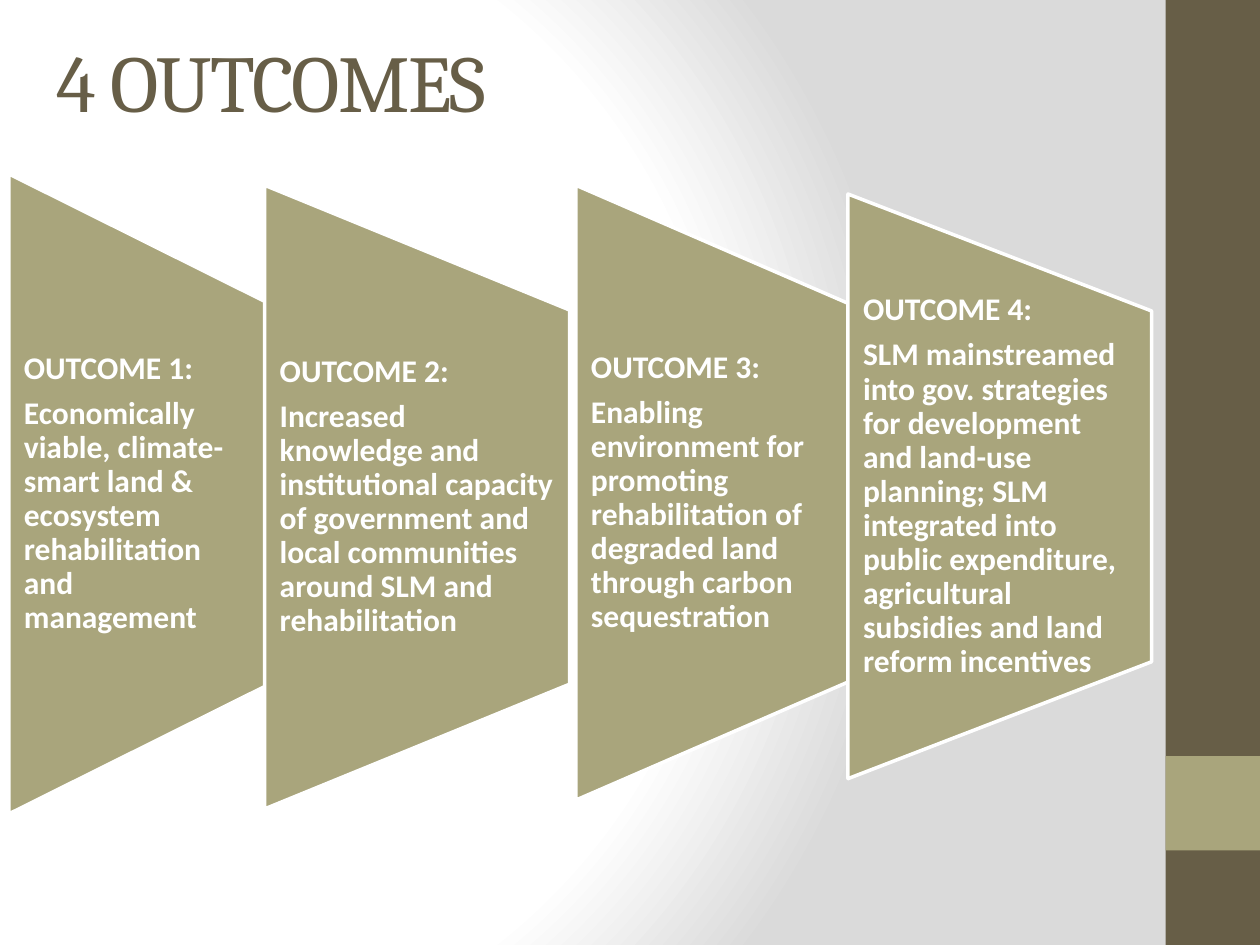
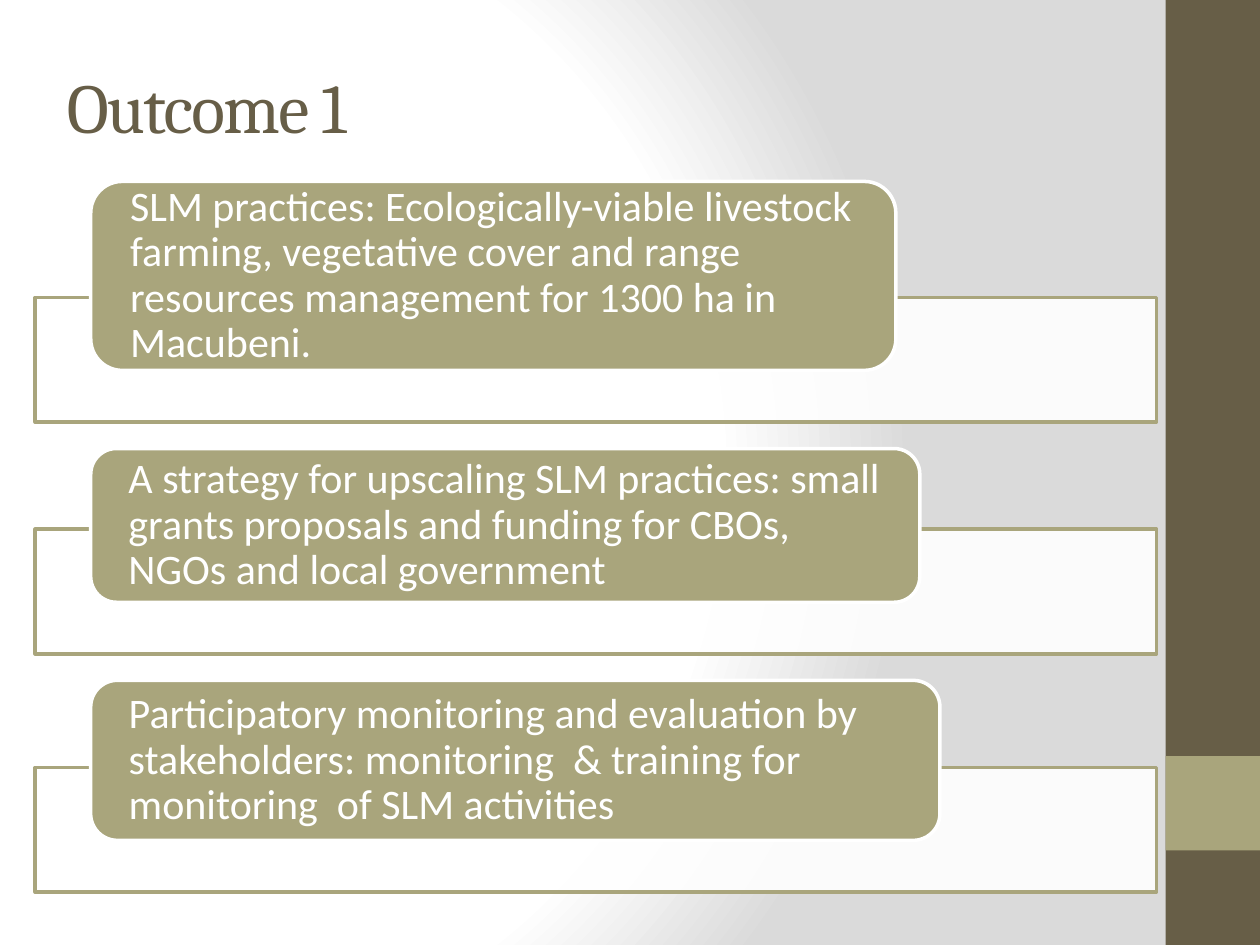
from dataclasses import dataclass
from typing import Optional

from pptx import Presentation
from pptx.dml.color import RGBColor
from pptx.enum.shapes import MSO_SHAPE as Preset
from pptx.enum.text import MSO_ANCHOR as Anchor, MSO_AUTO_SIZE as AutoSize, PP_ALIGN as Align
from pptx.oxml import parse_xml
from pptx.oxml.ns import nsdecls, qn
from pptx.util import Inches, Pt


@dataclass(frozen=True)
class Theme:
    brown: str = "675E47"
    olive: str = "A9A57C"
    white: str = "FFFFFF"
    grey: str = "DADADA"
    heading_font: str = "Cambria"
    body_font: str = "Calibri"
    main_title_size: int = 46
    title_size: int = 40
    column_size: int = 18
    label_size: int = 24
    outline: int = 2


@dataclass(frozen=True)
class Area:
    left: float
    top: float
    width: float
    height: float

    def lengths(self) -> tuple:
        return tuple(Inches(n) for n in (self.left, self.top, self.width, self.height))


@dataclass(frozen=True)
class Outcome:
    area: Area
    text: str


@dataclass(frozen=True)
class Practice:
    width: float
    height: float
    text: str


THEME = Theme()

OUTCOMES = [
    Outcome(Area(0.07, 1.38, 2.04, 5.08),
            "Economically viable, climate-smart land & ecosystem rehabilitation and management"),
    Outcome(Area(2.1, 1.47, 2.42, 4.95),
            "Increased knowledge and institutional capacity of government and local "
            "communities around SLM and rehabilitation"),
    Outcome(Area(4.57, 1.47, 2.25, 4.88),
            "Enabling environment for promoting rehabilitation of degraded land "
            "through carbon sequestration"),
    Outcome(Area(6.73, 1.54, 2.41, 4.64),
            "SLM mainstreamed into gov. strategies for development and land-use planning; "
            "SLM integrated into public expenditure, agricultural subsidies and land "
            "reform incentives"),
]

PRACTICES = [
    Practice(6.39, 1.5,
             "SLM practices: Ecologically-viable livestock farming, vegetative cover and "
             "range resources management for 1300 ha in Macubeni."),
    Practice(6.58, 1.22,
             "A strategy for upscaling SLM practices: small grants proposals and funding "
             "for CBOs, NGOs and local government"),
    Practice(6.74, 1.27,
             "Participatory monitoring and evaluation by stakeholders: monitoring  & "
             "training for monitoring  of SLM activities"),
]


# Shared drawing functions
def add_block(page, preset, area: Area, fill: str, line: Optional[str] = None):
    shape = page.shapes.add_shape(preset, *area.lengths())
    shape.shadow.inherit = False
    shape.fill.solid()
    shape.fill.fore_color.rgb = RGBColor.from_string(fill)
    if line:
        shape.line.color.rgb = RGBColor.from_string(line)
        shape.line.width = Pt(THEME.outline)
    else:
        shape.line.fill.background()
    return shape


def format_span(span, font: str, size: int, colour: str, bold: bool = False) -> None:
    span.font.name = font
    span.font.size = Pt(size)
    span.font.bold = bold
    span.font.color.rgb = RGBColor.from_string(colour)


def write_body(box, text: str, size: int, inset: float, bold: bool = False) -> None:
    frame = box.text_frame
    frame.text = text
    frame.word_wrap = True
    frame.vertical_anchor = Anchor.MIDDLE
    frame.margin_left = frame.margin_right = Inches(inset)
    frame.margin_top = frame.margin_bottom = 0
    for para in frame.paragraphs:
        para.alignment = Align.LEFT
        para.line_spacing = 0.9
        para.space_after = Pt(0.35 * size)
        for span in para.runs:
            format_span(span, THEME.body_font, size, THEME.white, bold)


def add_page(deck, title: str, area: Area, size: int):
    page = deck.slides.add_slide(deck.slide_layouts.get_by_name("Title Only"))
    box = page.shapes.title
    box.left, box.top, box.width, box.height = area.lengths()
    frame = box.text_frame
    frame.text = title
    frame.auto_size = AutoSize.NONE
    frame.vertical_anchor = Anchor.MIDDLE
    para = frame.paragraphs[0]
    para.alignment = Align.LEFT
    span = para.runs[0]
    format_span(span, THEME.heading_font, size, THEME.brown)
    span.font._element.set("spc", "-100")
    return page


# Background and side bands, held by the slide master
def dress_master(deck, page) -> None:
    master = deck.slide_master
    master.background.fill.solid()
    background = master.element.xpath(".//p:bgPr")[0]
    stops = "".join(
        f'<a:gs pos="{place * 1000}"><a:srgbClr val="{colour}"/></a:gs>'
        for place, colour in ((0, THEME.white), (75, THEME.white), (100, THEME.grey)))
    gradient = parse_xml(
        f'<a:gradFill {nsdecls("a")} rotWithShape="1"><a:gsLst>{stops}</a:gsLst>'
        '<a:path path="circle"><a:fillToRect l="20000" t="50000" r="100000" b="50000"/>'
        '</a:path></a:gradFill>')
    background.replace(background[0], gradient)

    bands = ((Area(9.25, 0, 0.75, 7.5), THEME.brown),
             (Area(9.25, 6, 0.75, 0.75), THEME.olive))
    for number, (area, colour) in enumerate(bands):
        band = add_block(page, Preset.RECTANGLE, area, colour).element
        band.nvSpPr.cNvPr.set("id", str(100 + number))
        master.shapes.element.insert(2 + number, band)


# Slide 1: four tapering columns
def draw_outcome(page, number: int, outcome: Outcome) -> None:
    area = outcome.area
    # The preset lies on its side, so its width and height change places
    shift = (area.height - area.width) / 2
    lying = Area(area.left - shift, area.top + shift, area.height, area.width)
    column = add_block(page, Preset.FLOWCHART_MANUAL_OPERATION, lying, THEME.olive, THEME.white)
    column.rotation = 270
    middle = Area(area.left, area.top + area.height / 5, area.width, area.height * 3 / 5)
    box = page.shapes.add_textbox(*middle.lengths())
    write_body(box, f"OUTCOME {number}:\n{outcome.text}", THEME.column_size, 0.12, bold=True)


# Slide 2: labels overlapping outlined panels
def draw_practices(page) -> None:
    panel_height, overlap, gap = 0.99, 0.58, 0.21
    top = 1.44
    for practice in PRACTICES:
        panel_top = top + practice.height - overlap
        panel = add_block(page, Preset.RECTANGLE, Area(0.28, panel_top, 8.9, panel_height),
                          THEME.white, THEME.olive)
        colour = panel.fill._xPr.find(qn("a:solidFill"))[0]
        colour.append(parse_xml(f'<a:alpha {nsdecls("a")} val="90000"/>'))
        label = add_block(page, Preset.ROUNDED_RECTANGLE,
                          Area(0.72, top, practice.width, practice.height),
                          THEME.olive, THEME.white)
        write_body(label, practice.text, THEME.label_size, 0.24)
        top = panel_top + panel_height + gap


def main() -> None:
    deck = Presentation()
    deck.slide_width, deck.slide_height = Inches(10), Inches(7.5)

    page = add_page(deck, "4 OUTCOMES", Area(0.35, 0.13, 8.5, 1.01), THEME.main_title_size)
    dress_master(deck, page)
    for number, outcome in enumerate(OUTCOMES, start=1):
        draw_outcome(page, number, outcome)

    page = add_page(deck, "Outcome 1", Area(0.43, 0.21, 8.33, 1.25), THEME.title_size)
    draw_practices(page)

    deck.save("out.pptx")


if __name__ == "__main__":
    main()
